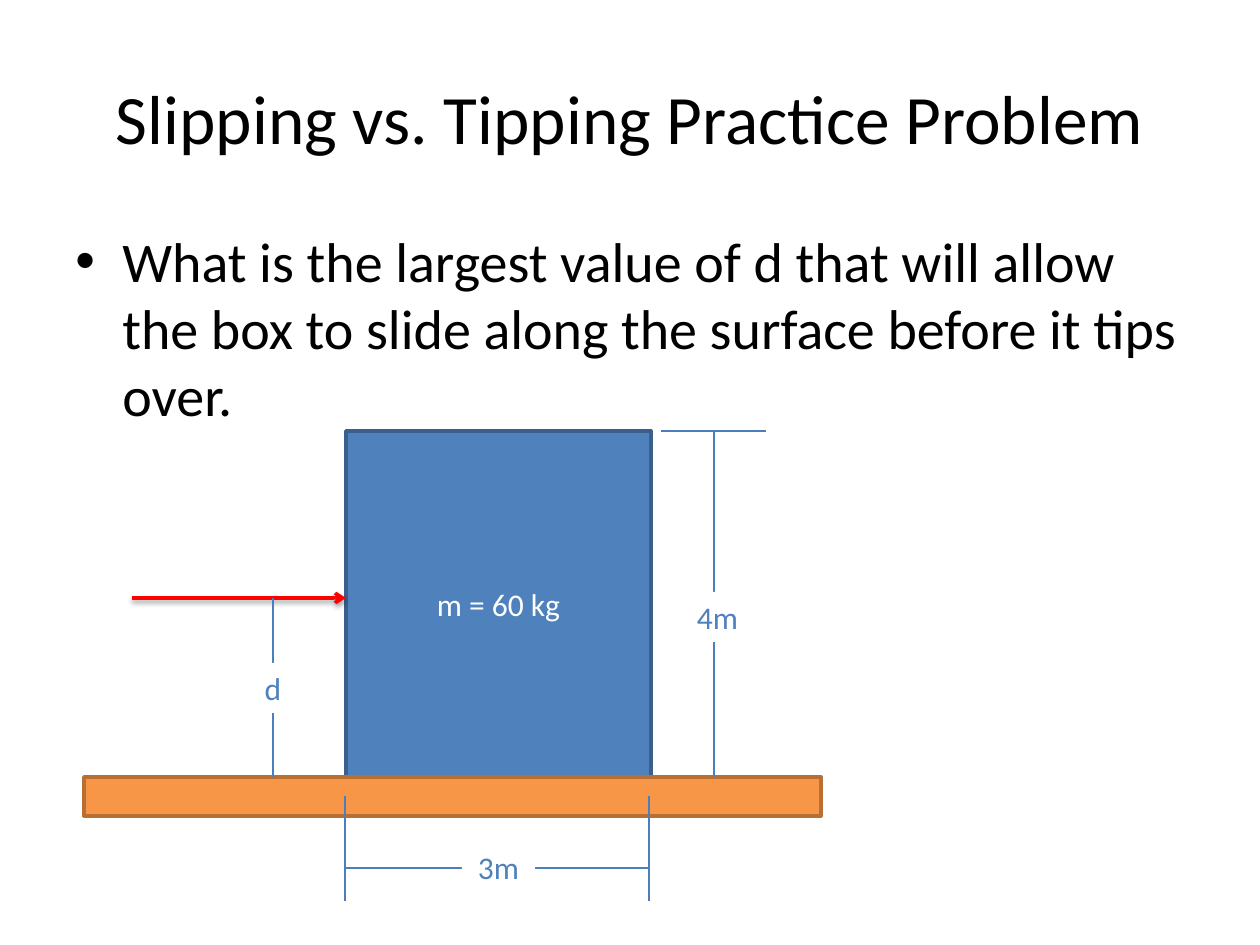
from dataclasses import dataclass

from lxml import etree
from pptx import Presentation
from pptx.dml.color import RGBColor
from pptx.enum.shapes import MSO_CONNECTOR, MSO_SHAPE
from pptx.enum.text import MSO_ANCHOR, PP_ALIGN
from pptx.oxml import parse_xml
from pptx.oxml.ns import nsdecls, qn
from pptx.util import Emu, Pt

RECTANGLE = MSO_SHAPE.RECTANGLE
STRAIGHT = MSO_CONNECTOR.STRAIGHT
TOP, MIDDLE = MSO_ANCHOR.TOP, MSO_ANCHOR.MIDDLE
LEFT, CENTER = PP_ALIGN.LEFT, PP_ALIGN.CENTER
PX = 914400 / 126


@dataclass
class Theme:
    font: str = "Calibri"
    title_size: float = 39.6
    body_size: float = 32
    label_size: float = 18
    black: str = "000000"
    white: str = "FFFFFF"
    blue: str = "4F81BD"
    blue_edge: str = "3A5F8C"
    orange: str = "F79646"
    orange_edge: str = "B76F34"
    force: str = "FF0000"
    dimension: str = "4B7EBC"


theme = Theme()


def add_box(area, fill=None, edge=None, text="", size=theme.label_size,
            color=theme.black, align=CENTER, anchor=TOP, bullet_indent=0):
    """Add a rectangle, with optional fill, outline and one paragraph of text."""
    box = slide.shapes.add_shape(RECTANGLE, *[Emu(round(v * PX)) for v in area])
    box.shadow.inherit = False
    if fill:
        box.fill.solid()
        box.fill.fore_color.rgb = RGBColor.from_string(fill)
    else:
        box.fill.background()
    if edge:
        box.line.color.rgb = RGBColor.from_string(edge)
        box.line.width = Pt(2)
    else:
        box.line.fill.background()
    frame = box.text_frame
    frame.word_wrap = True
    frame.vertical_anchor = anchor
    para = frame.paragraphs[0]
    para.text = text
    para.alignment = align
    if bullet_indent:
        indent = round(bullet_indent * PX)
        properties = para._p.get_or_add_pPr()
        properties.set("marL", str(indent))
        properties.set("indent", str(-indent))
        etree.SubElement(properties, qn("a:buFont"), typeface="Arial")
        etree.SubElement(properties, qn("a:buChar"), char="•")
    para.font.name = theme.font
    para.font.size = Pt(size)
    para.font.color.rgb = RGBColor.from_string(color)


def add_line(ends, color, width, effects=""):
    line = slide.shapes.add_connector(STRAIGHT, *[Emu(round(v * PX)) for v in ends])
    line.line.color.rgb = RGBColor.from_string(color)
    line.line.width = Pt(width)
    properties = line._element.spPr
    properties.append(parse_xml(f"<a:effectLst {nsdecls('a')}>{effects}</a:effectLst>"))
    return properties


deck = Presentation()
deck.slide_width = Emu(round(1260 * PX))
deck.slide_height = Emu(round(945 * PX))
slide = deck.slides.add_slide(deck.slide_layouts[6])

# Title and question
add_box((63, 38, 1134, 158), text="Slipping vs. Tipping Practice Problem",
        size=theme.title_size, anchor=MIDDLE)
add_box((63, 220, 1134, 624),
        text="What is the largest value of d that will allow the box to slide "
             "along the surface before it tips over.",
        size=theme.body_size, align=LEFT, bullet_indent=47)

# Crate standing on the ground
crate_left, crate_top, crate_right, ground_top = 346, 431, 651, 777
add_box((crate_left, crate_top, crate_right - crate_left, ground_top - crate_top),
        theme.blue, theme.blue_edge, "m = 60 kg", color=theme.white, anchor=MIDDLE)
add_box((84, ground_top, 737, 39), theme.orange, theme.orange_edge)

# Pushing force
force_y = 598
shadow = ('<a:outerShdw blurRad="39370" dist="20320" dir="5400000" rotWithShape="0">'
          '<a:srgbClr val="000000"><a:alpha val="38000"/></a:srgbClr></a:outerShdw>')
arrow = add_line((132, force_y, crate_left, force_y), theme.force, 2, shadow)
etree.SubElement(arrow.find(qn("a:ln")), qn("a:tailEnd"), type="arrow")

# Dimension lines, then the labels that interrupt them
dimension_lines = [
    (766, crate_top, 661, crate_top),
    (649, 796, 649, 901),
    (345, 796, 345, 901),
    (714, crate_top, 714, ground_top),
    (273, force_y, 273, ground_top),
    (649, 868, crate_left, 868),
]
for ends in dimension_lines:
    add_line(ends, theme.dimension, 0.75)

for text, left, top, width in [("4m", 683, 592, 69), ("d", 234, 663, 78),
                               ("3m", 462, 842, 73)]:
    add_box((left, top, width, 50), theme.white, text=text, color=theme.blue)

deck.save("out.pptx")
